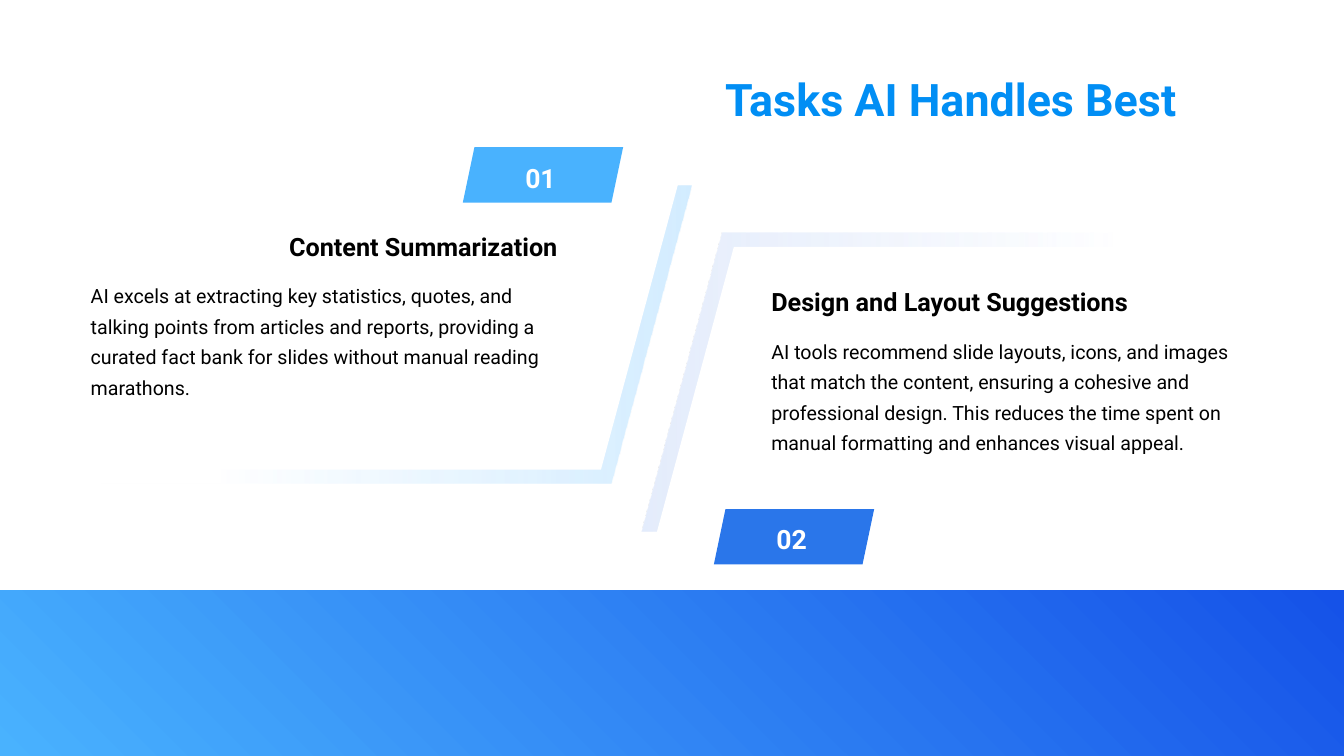
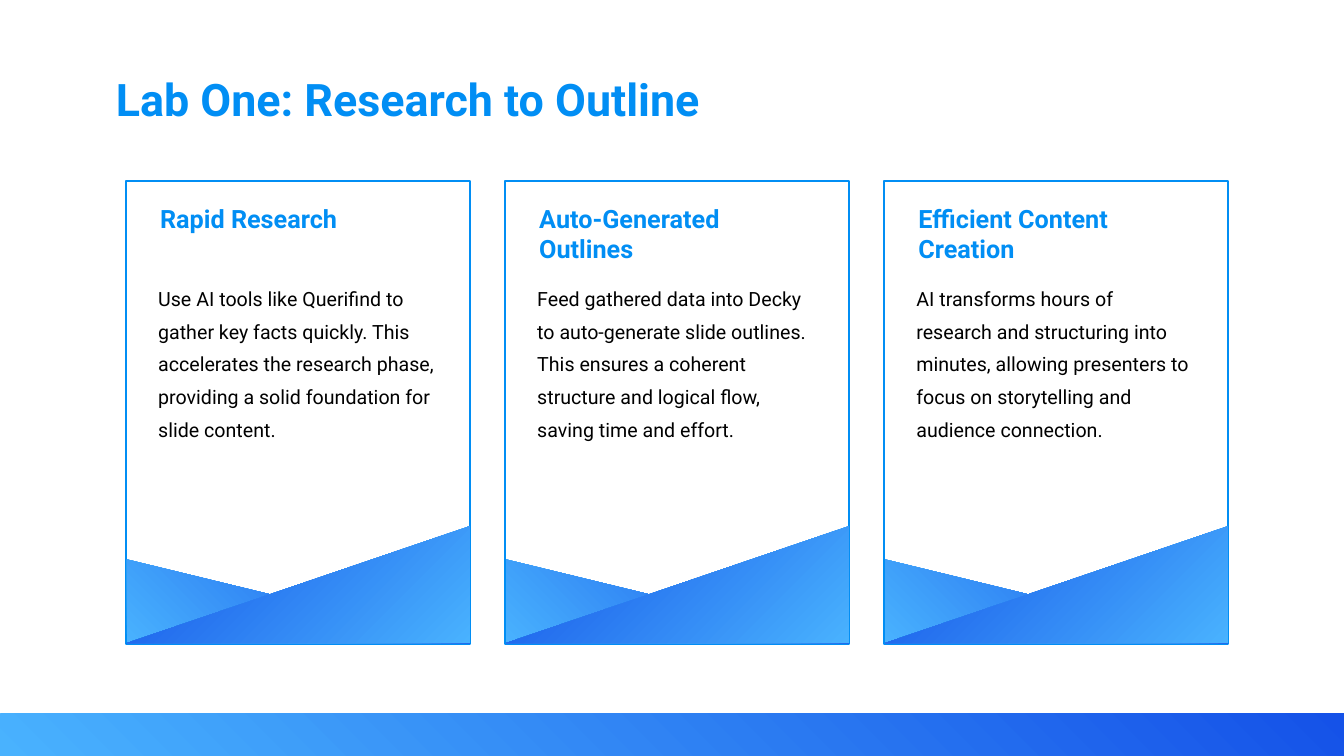
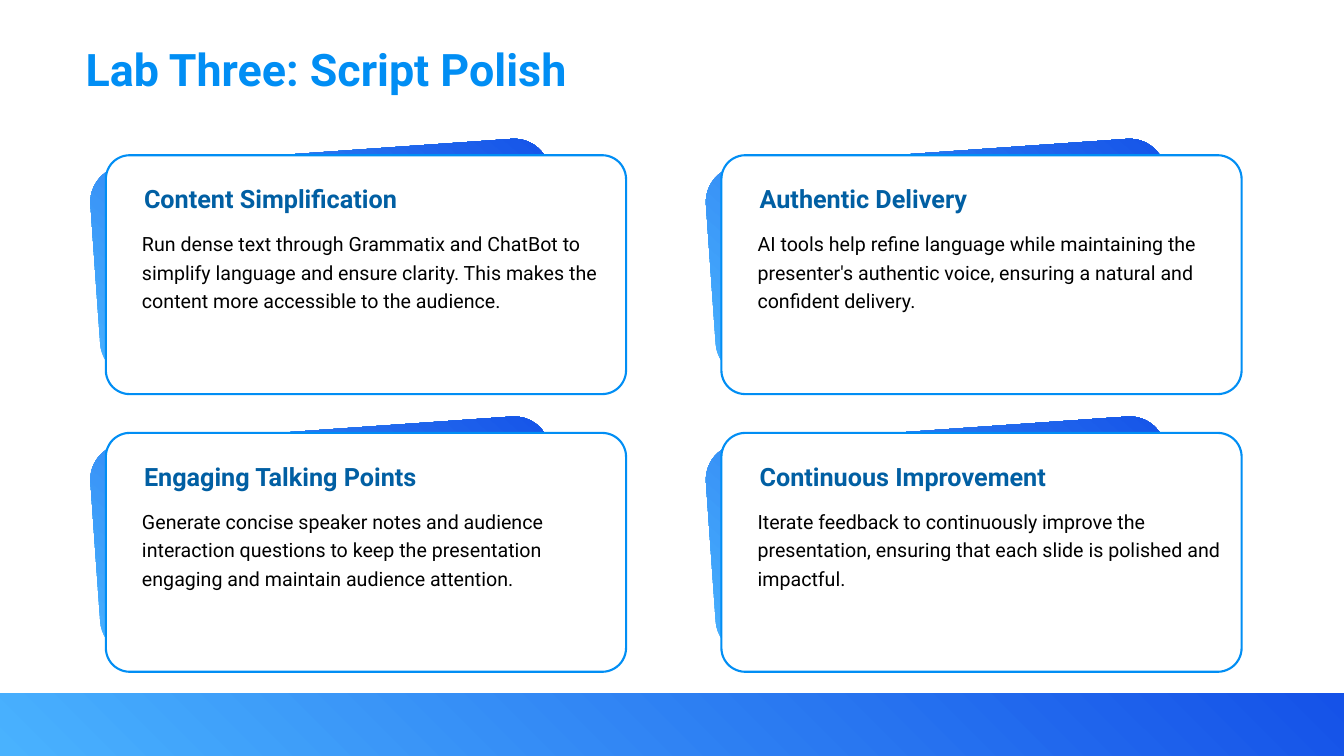
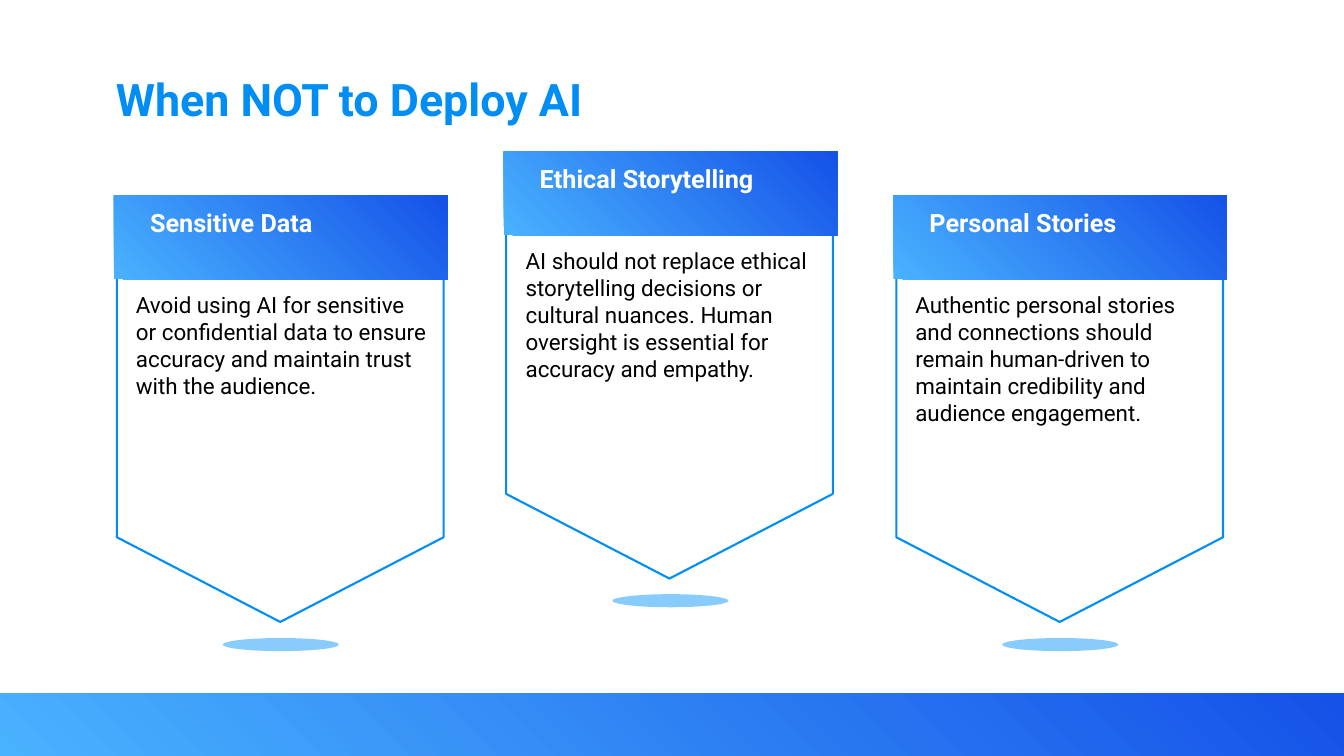
from dataclasses import dataclass, field

from lxml import etree
from pptx import Presentation
from pptx import util as u
from pptx.dml.color import RGBColor
from pptx.enum import shapes, text
from pptx.oxml.ns import qn

PX = 9144  # EMU per px, 100 px to the inch
WIDTH, HEIGHT = 1333, 750
SHAPE, ALIGN = shapes.MSO_SHAPE, text.PP_ALIGN


@dataclass(frozen=True)
class Theme:
    font: str = "Roboto"
    white: str = "FFFFFF"
    black: str = "000000"
    accent: str = "018EF4"
    deep: str = "015FA3"
    sky: str = "49B2FE"
    blue: str = "2A76EA"
    ice: str = "92D1FE"
    mist: str = "BCD0F7"
    royal: str = "1552E8"
    line: float = 1.5
    sizes: dict = field(default_factory=lambda: {
        "title": 32, "badge": 19, "heading": 18, "large": 16, "body": 14})


T = Theme()
BRAND_STOPS = [(0, T.sky, 100), (100, T.royal, 100)]

# Content
TASKS = {
    "title": "Tasks AI Handles Best",
    "items": [
        {"number": "01", "heading": "Content Summarization",
         "body": "AI excels at extracting key statistics, quotes, and talking points from "
                 "articles and reports, providing a curated fact bank for slides without "
                 "manual reading marathons.",
         "badge": (459, 146), "badge_fill": T.sky, "tint": T.ice, "angle": 0,
         "edge": (100, 184), "cover": (90, 170), "align": ALIGN.RIGHT,
         "heading_at": (137, 229), "body_at": (90, 275)},
        {"number": "02", "heading": "Design and Layout Suggestions",
         "body": "AI tools recommend slide layouts, icons, and images that match the content, "
                 "ensuring a cohesive and professional design. This reduces the time spent on "
                 "manual formatting and enhances visual appeal.",
         "badge": (708, 505), "badge_fill": T.blue, "tint": T.mist, "angle": 180,
         "edge": (636, 231), "cover": (648, 245), "align": ALIGN.LEFT,
         "heading_at": (765, 284), "body_at": (765, 330)},
    ],
}
OUTLINE = {
    "title": "Lab One: Research to Outline",
    "items": [
        ("Rapid Research",
         "Use AI tools like Querifind to gather key facts quickly. This accelerates the "
         "research phase, providing a solid foundation for slide content."),
        ("Auto-Generated Outlines",
         "Feed gathered data into Decky to auto-generate slide outlines. This ensures a "
         "coherent structure and logical flow, saving time and effort."),
        ("Efficient Content Creation",
         "AI transforms hours of research and structuring into minutes, allowing presenters "
         "to focus on storytelling and audience connection."),
    ],
}
POLISH = {
    "title": "Lab Three: Script Polish",
    "items": [
        ("Content Simplification",
         "Run dense text through Grammatix and ChatBot to simplify language and ensure "
         "clarity. This makes the content more accessible to the audience."),
        ("Authentic Delivery",
         "AI tools help refine language while maintaining the presenter's authentic voice, "
         "ensuring a natural and confident delivery."),
        ("Engaging Talking Points",
         "Generate concise speaker notes and audience interaction questions to keep the "
         "presentation engaging and maintain audience attention."),
        ("Continuous Improvement",
         "Iterate feedback to continuously improve the presentation, ensuring that each "
         "slide is polished and impactful."),
    ],
}
LIMITS = {
    "title": "When NOT to Deploy AI",
    "items": [
        ("Sensitive Data",
         "Avoid using AI for sensitive or confidential data to ensure accuracy and maintain "
         "trust with the audience."),
        ("Ethical Storytelling",
         "AI should not replace ethical storytelling decisions or cultural nuances. Human "
         "oversight is essential for accuracy and empathy."),
        ("Personal Stories",
         "Authentic personal stories and connections should remain human-driven to maintain "
         "credibility and audience engagement."),
    ],
}


# Drawing helpers
def emu(*lengths):
    return [round(n * PX) for n in lengths]


def set_all(obj, values):
    for name, value in values.items():
        setattr(obj, name, value)


def set_gradient(sp, stops, angle):
    """Fill with (position, colour, opacity) stops; angle runs counter-clockwise."""
    sp.fill.gradient()
    sp.fill.gradient_angle = angle
    stop_list = sp.fill._fill._gradFill.find(qn("a:gsLst"))
    for old in list(stop_list):
        stop_list.remove(old)
    for position, colour, opacity in stops:
        gs = etree.SubElement(stop_list, qn("a:gs"), pos=str(position * 1000))
        clr = etree.SubElement(gs, qn("a:srgbClr"), val=colour)
        if opacity < 100:
            etree.SubElement(clr, qn("a:alpha"), val=str(opacity * 1000))


def style(sp, fill=None, line=None, opacity=100):
    """Paint a shape; without a fill colour it takes the brand gradient."""
    sp.shadow.inherit = False
    if fill:
        sp.fill.solid()
        sp.fill.fore_color.rgb = RGBColor.from_string(fill)
        if opacity < 100:
            clr = next(sp._element.spPr.iter(qn("a:srgbClr")))
            etree.SubElement(clr, qn("a:alpha"), val=str(opacity * 1000))
    else:
        set_gradient(sp, BRAND_STOPS, 45)
    if line:
        sp.line.color.rgb = RGBColor.from_string(line)
        sp.line.width = u.Pt(T.line)
    else:
        sp.line.fill.background()
    return sp


def add_box(s, kind, box, adj=None, **paint):
    sp = s.shapes.add_shape(kind, *emu(*box))
    if adj is not None:
        sp.adjustments[0] = adj
    return style(sp, **paint)


def write(tf, content, role, colour=T.black, align=ALIGN.LEFT, spacing=None):
    p = tf.paragraphs[0]
    set_all(p, {"alignment": align, "line_spacing": spacing})
    r = p.add_run()
    r.text = content
    set_all(r.font, {"name": T.font, "size": u.Pt(T.sizes[role]),
                     "bold": role in ("title", "heading", "badge")})
    r.font.color.rgb = RGBColor.from_string(colour)


def add_text(s, box, content, role, inset=True, **fmt):
    tf = s.shapes.add_textbox(*emu(*box)).text_frame
    tf.word_wrap = True
    if not inset:
        set_all(tf, dict.fromkeys(
            ("margin_left", "margin_top", "margin_right", "margin_bottom"), 0))
    write(tf, content, role, **fmt)


def new_slide(prs, title, band_top, at=(105, 66), align=ALIGN.LEFT):
    s = prs.slides.add_slide(prs.slide_layouts[6])
    add_box(s, SHAPE.RECTANGLE, (0, band_top, WIDTH, HEIGHT - band_top))
    add_text(s, (*at, 1072, 55), title, "title", colour=T.accent, align=align)
    return s


# Slides
def tasks_slide(prs):
    s = new_slide(prs, TASKS["title"], 586, align=ALIGN.RIGHT)
    # A white panel over a fading one leaves an angled edge, right item first
    for item in reversed(TASKS["items"]):
        fade = [(0, item["tint"], 0), (20, item["tint"], 0), (100, item["tint"], 40)]
        edge, _ = [add_box(s, SHAPE.PARALLELOGRAM, (*item[part], 586, 296), 0.27, fill=T.white)
                   for part in ("edge", "cover")]
        set_gradient(edge, fade, item["angle"])
    for item in TASKS["items"]:
        badge = add_box(s, SHAPE.PARALLELOGRAM, (*item["badge"], 159, 55), 0.21,
                        fill=item["badge_fill"])
        tf = badge.text_frame
        set_all(tf, {"margin_left": 5 * PX, "margin_top": 10 * PX, "margin_right": 10 * PX,
                     "margin_bottom": 5 * PX, "vertical_anchor": text.MSO_ANCHOR.MIDDLE})
        write(tf, item["number"], "badge", colour=T.white, align=ALIGN.CENTER)
        add_text(s, (*item["heading_at"], 416, 40), item["heading"], "heading",
                 inset=False, align=item["align"])
        add_text(s, (*item["body_at"], 463, 150), item["body"], "body",
                 inset=False, spacing=1.3)


def outline_slide(prs):
    s = new_slide(prs, OUTLINE["title"], 708)
    for i, (heading, body) in enumerate(OUTLINE["items"]):
        x = 125 + 376 * i
        add_box(s, SHAPE.RECTANGLE, (x, 180, 341, 459), fill=T.white, line=T.accent)
        add_box(s, SHAPE.RIGHT_TRIANGLE, (x + 1, 555, 340, 83))
        front = add_box(s, SHAPE.RIGHT_TRIANGLE, (x + 1, 522, 340, 116))
        front._element.spPr.find(qn("a:xfrm")).set("flipH", "1")
        add_text(s, (x + 24, 197, 290, 65), heading, "heading", colour=T.accent)
        add_text(s, (x + 22, 270, 295, 163), body, "body", spacing=1.4)


def polish_slide(prs):
    s = new_slide(prs, POLISH["title"], 688, at=(75, 36))
    for i, (heading, body) in enumerate(POLISH["items"]):
        row, col = divmod(i, 2)
        x, y = 105 + 610.5 * col, 154 + 275.5 * row
        back = add_box(s, SHAPE.ROUNDED_RECTANGLE, (x - 11, y - 3, 457, 210), 0.17)
        back.rotation = -4
        add_box(s, SHAPE.ROUNDED_RECTANGLE, (x, y, 516, 237), 0.1,
                fill=T.white, line=T.accent)
        add_text(s, (x + 28, y + 23, 472, 31), heading, "heading", colour=T.deep)
        add_text(s, (x + 26, y + 67, 481, 90), body, "body", spacing=1.2)


def limits_slide(prs):
    s = new_slide(prs, LIMITS["title"], 688)
    for i, (heading, body) in enumerate(LIMITS["items"]):
        x, y = 113 + 386.5 * i, 194 - 43.5 * (i % 2)
        left, right, top, shoulder = x + 3, x + 327, y + 45, y + 339
        pennant = s.shapes.build_freeform(left, top, scale=PX)
        pennant.add_line_segments([(right, top), (right, shoulder),
                                   (x + 165, y + 423), (left, shoulder)], close=True)
        style(pennant.convert_to_shape(), fill=T.white, line=T.accent)
        add_box(s, SHAPE.RECTANGLE, (x, y, 331, 83))
        add_box(s, SHAPE.OVAL, (x + 108, y + 439, 115, 13), fill=T.sky, opacity=65)
        add_text(s, (x + 26, y + 7, 280, 31), heading, "heading", colour=T.white)
        add_text(s, (x + 12, y + 90, 308, 175), body, "large")


def main():
    prs = Presentation()
    prs.slide_width, prs.slide_height = emu(WIDTH, HEIGHT)
    for build in (tasks_slide, outline_slide, polish_slide, limits_slide):
        build(prs)
    prs.save("out.pptx")


if __name__ == "__main__":
    main()
